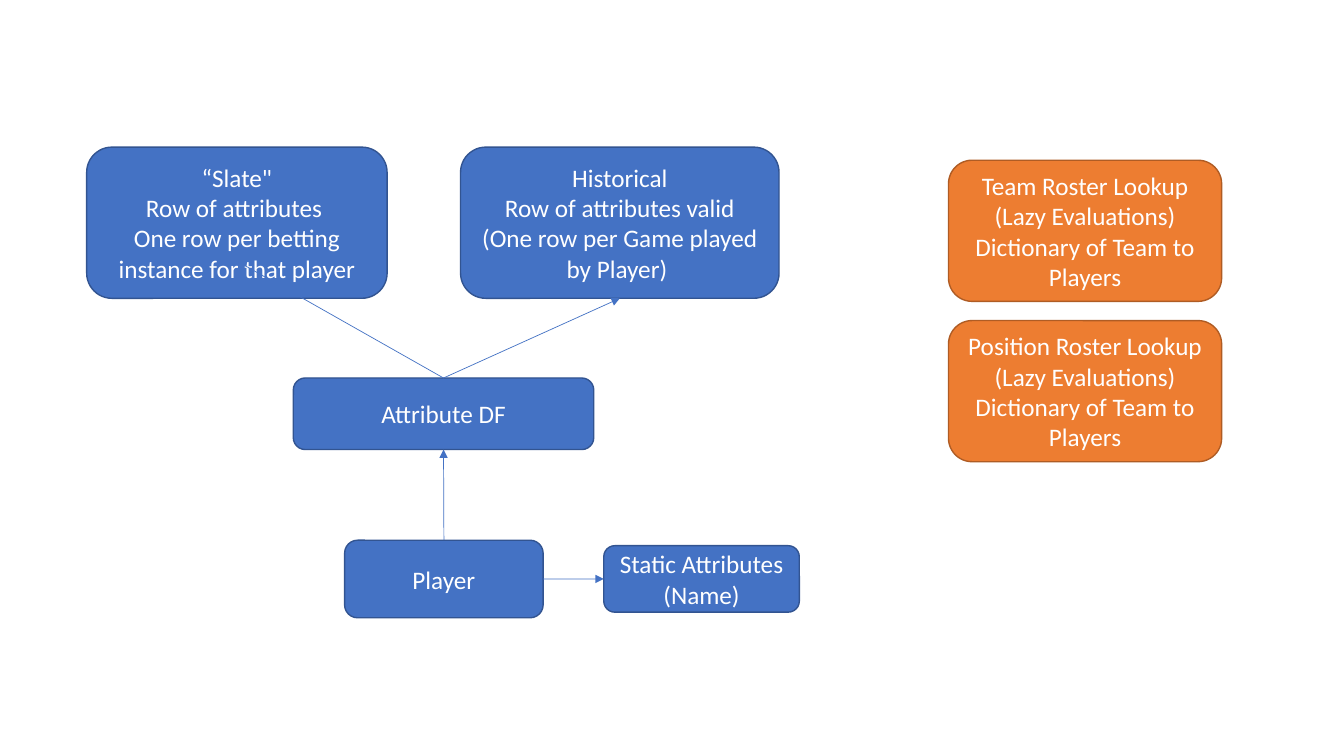
import pptx
import pptx.dml.color
import pptx.enum.shapes
import pptx.enum.text
import pptx.oxml.ns
import pptx.util
import lxml.etree

Pt = pptx.util.Pt
COLORS = {
    "blue": "4472C4",
    "blue_edge": "325491",
    "orange": "ED7D31",
    "orange_edge": "AF5C24",
    "text": "FFFFFF",
}
FONT = "Calibri"
TOP, LEFT, BOTTOM, RIGHT = range(4)


def color(name):
    return pptx.dml.color.RGBColor.from_string(COLORS[name])


def add_node(page, box, lines, fill="blue"):
    left, top, width, height = box
    node = page.shapes.add_shape(
        pptx.enum.shapes.MSO_SHAPE.ROUNDED_RECTANGLE,
        Pt(left), Pt(top), Pt(width), Pt(height))
    node.shadow.inherit = False
    node.fill.solid()
    node.fill.fore_color.rgb = color(fill)
    node.line.color.rgb = color(fill + "_edge")
    node.line.width = Pt(1)
    frame = node.text_frame
    frame.word_wrap = True
    frame.vertical_anchor = pptx.enum.text.MSO_ANCHOR.MIDDLE
    for index, line in enumerate(lines):
        para = frame.add_paragraph() if index else frame.paragraphs[0]
        para.alignment = pptx.enum.text.PP_ALIGN.CENTER
        span = para.add_run()
        span.text = line
        span.font.name = FONT
        span.font.size = Pt(18)
        span.font.color.rgb = color("text")
    return node


def add_arrow(page, source, source_side, end=(0, 0), target=None, target_side=None):
    arrow = page.shapes.add_connector(
        pptx.enum.shapes.MSO_CONNECTOR.STRAIGHT, 0, 0, Pt(end[0]), Pt(end[1]))
    arrow.begin_connect(source, source_side)
    if target is not None:
        arrow.end_connect(target, target_side)
    arrow.line.color.rgb = color("blue")
    arrow.line.width = Pt(0.5)
    qualified = pptx.oxml.ns.qn
    outline = arrow.line._get_or_add_ln()
    lxml.etree.SubElement(outline, qualified("a:tailEnd"), type="triangle")
    lxml.etree.SubElement(arrow._element.spPr, qualified("a:effectLst"))


def add_player_model(page, box):
    left, top, width, height = box

    def node(x, y, node_width, node_height, lines):
        return add_node(page, (left + x, top + y, node_width, node_height), lines)

    player = node(184.3, 280.8, 141.8, 55.4, ["Player"])
    attributes = node(147.6, 164.9, 214.6, 51.1, ["Attribute DF"])
    node(0, 0, 214.6, 108, [
        "“Slate\"",
        "Row of attributes ",
        "One row per betting instance for that player",
    ])
    historical = node(267.1, 0, 227.5, 108, [
        "Historical",
        "Row of attributes valid",
        "(One row per Game played by Player) ",
    ])
    static = node(width - 139.7, 284.7, 139.7, 47.5, ["Static Attributes", "(Name)"])

    add_arrow(page, player, TOP, target=attributes, target_side=BOTTOM)
    add_arrow(page, attributes, TOP, end=(left + 102.3, top + 78.5))
    add_arrow(page, attributes, TOP, target=historical, target_side=BOTTOM)
    add_arrow(page, player, RIGHT, target=static, target_side=LEFT)


def add_roster_lookups(page, box):
    left, top, width, height = box
    gap = 13.7
    node_height = (height - gap) / 2
    for index, subject in enumerate(["Team", "Position"]):
        add_node(
            page,
            (left, top + index * (node_height + gap), width, node_height),
            [subject + " Roster Lookup", "(Lazy Evaluations)",
             "Dictionary of Team to Players"],
            "orange")


def main():
    deck = pptx.Presentation()
    deck.slide_width = Pt(960)
    deck.slide_height = Pt(540)
    page = deck.slides.add_slide(deck.slide_layouts[6])
    add_player_model(page, (61.9, 105.1, 509.1, 336.2))
    add_roster_lookups(page, (677.5, 114.5, 195.1, 215.3))
    deck.save("out.pptx")


if __name__ == "__main__":
    main()
